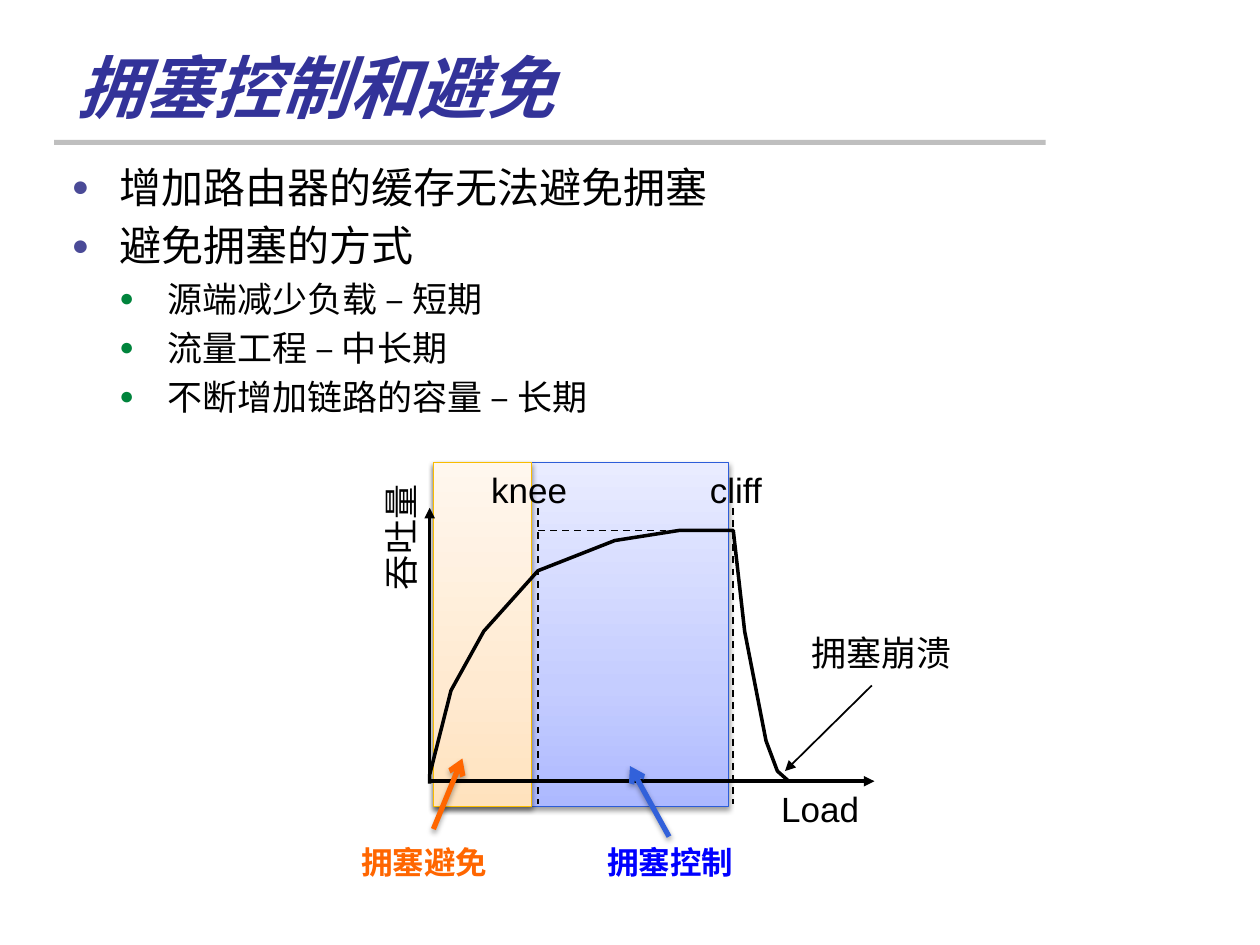
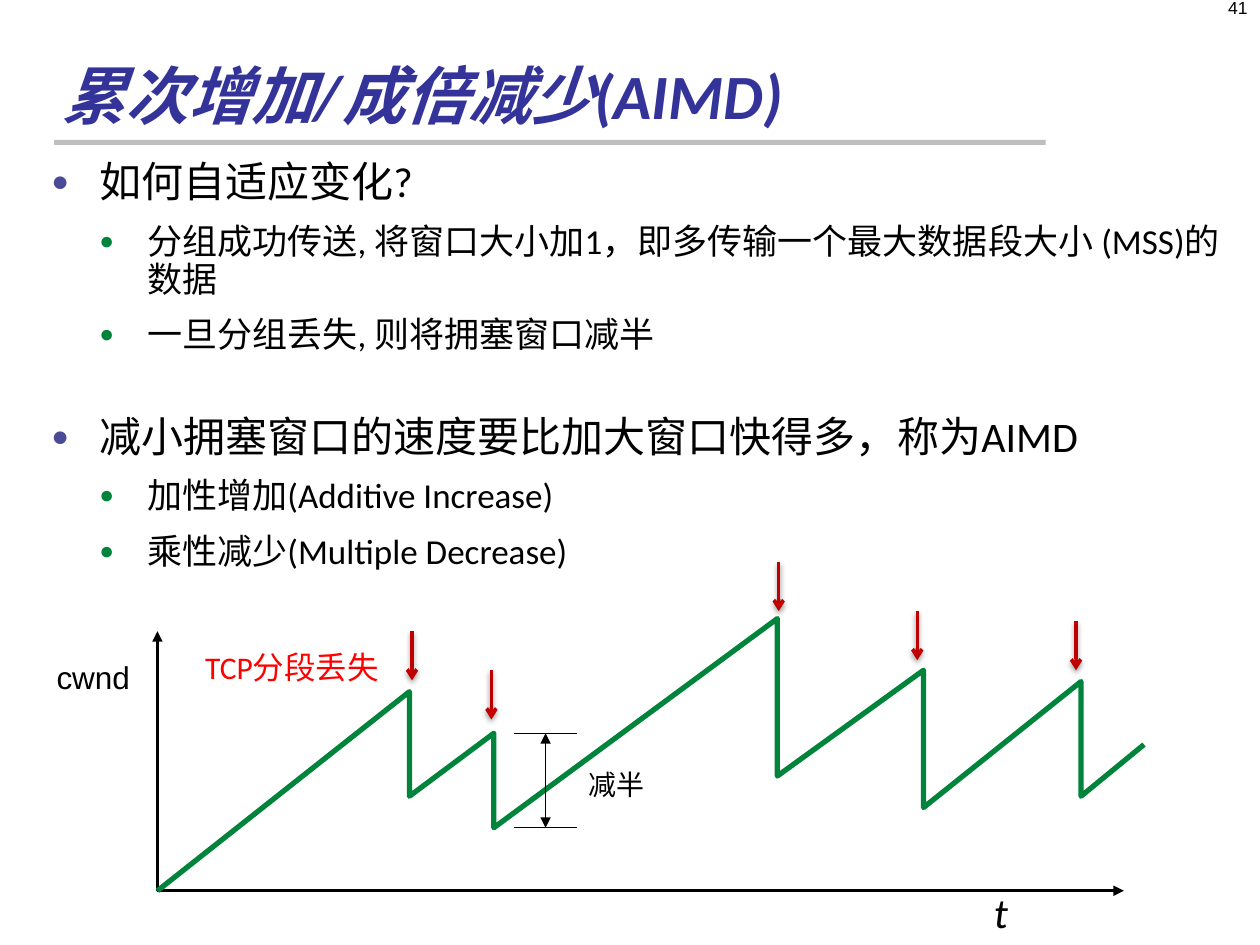
import pptx
import pptx.util
import pptx.oxml
import pptx.oxml.ns
import pptx.dml.color
import pptx.enum.dml
import pptx.enum.shapes
import pptx.enum.text
from lxml import etree

Inches, Pt = pptx.util.Inches, pptx.util.Pt
RGBColor = pptx.dml.color.RGBColor
Align = pptx.enum.text.PP_ALIGN
Anchor = pptx.enum.text.MSO_ANCHOR
AutoSize = pptx.enum.text.MSO_AUTO_SIZE
Shape = pptx.enum.shapes.MSO_SHAPE
qn = pptx.oxml.ns.qn

BLACK = RGBColor(0, 0, 0)
TITLE_BLUE = RGBColor(0x33, 0x33, 0x99)
RULE_GRAY = RGBColor(0xBF, 0xBF, 0xBF)
BULLET_BLUE = RGBColor(0x4A, 0x4A, 0x97)
GREEN = RGBColor(0x00, 0x84, 0x3C)
CONTROL_EDGE = RGBColor(0x2D, 0x5D, 0xD9)
CONTROL_ARROW = RGBColor(0x32, 0x61, 0xDA)
CONTROL_TEXT = RGBColor(0, 0, 0xFF)
AVOID_EDGE = RGBColor(0xF9, 0xBC, 0x00)
ORANGE = RGBColor(0xFF, 0x66, 0x00)
RED = RGBColor(0xFF, 0, 0)
DARK_RED = RGBColor(0xC0, 0, 0)
CONTROL_FILL = [(0, "ADB9FF"), (35, "C5CDFF"), (100, "E9ECFF")]
AVOID_FILL = [(0, "FFE2BD"), (35, "FFEAD1"), (100, "FFF7EE")]


def add(parent, tag, **attributes):
    """Append a DrawingML element with the given attributes."""
    child = etree.SubElement(parent, qn("a:" + tag))
    for key, value in attributes.items():
        child.set(key, str(value))
    return child


def write(paragraph, text, size=18, font="Calibri", color=BLACK, bold=False,
          italic=False, align=Align.LEFT):
    """Put one formatted run into a paragraph."""
    paragraph.alignment = align
    run = paragraph.add_run()
    run.text = text
    run.font.size, run.font.name = Pt(size), font
    run.font.bold, run.font.italic = bold, italic
    run.font.color.rgb = color


class Deck:
    # bullet colour and text size of each outline level
    LEVELS = [(BULLET_BLUE, 24), (GREEN, 20)]

    def __init__(self):
        self.file = pptx.Presentation()
        self.file.slide_width, self.file.slide_height = Inches(10), Inches(7.5)
        self.slide = None

    def new_slide(self, title, box, size):
        """Start a slide with its gray rule and title."""
        self.slide = self.file.slides.add_slide(self.file.slide_layouts[6])
        rule = self.box(0.43, 1.11, 7.87, 0.04)
        rule.fill.solid()
        rule.fill.fore_color.rgb = RULE_GRAY
        rule.line.fill.background()
        self.text(title, *box, wrap=True, anchor=Anchor.BOTTOM, size=size,
                  color=TITLE_BLUE, bold=True, italic=True)

    def box(self, left, top, width, height):
        shape = self.slide.shapes.add_shape(
            Shape.RECTANGLE, *map(Inches, (left, top, width, height)))
        shape.shadow.inherit = False
        return shape

    def text(self, words, left, top, width, height, wrap=False,
             anchor=Anchor.TOP, rotation=0, **style):
        label = self.slide.shapes.add_textbox(
            *map(Inches, (left, top, width, height)))
        label.rotation = rotation
        frame = label.text_frame
        frame.word_wrap, frame.vertical_anchor = wrap, anchor
        frame.auto_size = AutoSize.NONE if wrap else AutoSize.SHAPE_TO_FIT_TEXT
        write(frame.paragraphs[0], words, **style)

    def outline(self, items, left, top, width, height, spacing=None):
        """Bulleted list of (level, text, points after)."""
        body = self.slide.shapes.add_textbox(
            *map(Inches, (left, top, width, height)))
        frame = body.text_frame
        frame.word_wrap = True
        for number, (level, words, after) in enumerate(items):
            paragraph = (frame.add_paragraph() if number
                         else frame.paragraphs[0])
            bullet_color, size = self.LEVELS[level]
            write(paragraph, words, size=size)
            paragraph.level = level
            paragraph.line_spacing = spacing
            paragraph.space_before = Pt(size * 0.2)
            paragraph.space_after = Pt(after)
            props = paragraph._p.get_or_add_pPr()
            props.set("marL", str(Inches(0.38 * (level + 1))))
            props.set("indent", str(Inches(-0.38)))
            add(add(props, "buClr"), "srgbClr", val=bullet_color)
            add(props, "buSzPct", val=70000)
            add(props, "buFont", typeface="Arial")
            add(props, "buChar", char="●")

    def zone(self, left, top, width, height, stops, edge):
        """Rectangle shaded from the bottom up."""
        area = self.box(left, top, width, height)
        area.line.color.rgb, area.line.width = edge, Pt(0.75)
        area.fill.gradient()
        area.fill.gradient_angle = 90
        stop_list = area._element.spPr.find(qn("a:gradFill")).find(qn("a:gsLst"))
        for old in list(stop_list):
            stop_list.remove(old)
        for position, color in stops:
            stop = add(stop_list, "gs", pos=position * 1000)
            add(stop, "srgbClr", val=color)
        self.shadow(area, 38, 1.6)

    def shadow(self, shape, opacity=0, distance=0):
        """Drop shadow below the shape, or none at zero opacity."""
        props = shape._element.spPr
        for old in props.findall(qn("a:effectLst")):
            props.remove(old)
        effects = add(props, "effectLst")
        if opacity:
            drop = add(effects, "outerShdw", blurRad=Pt(3.1),
                       dist=Pt(distance), dir=90 * 60000, rotWithShape=0)
            add(add(drop, "srgbClr", val="000000"), "alpha", val=opacity * 1000)

    def stroke(self, shape, color, width, head, tail, dash=False):
        shape.line.color.rgb, shape.line.width = color, Pt(width)
        if dash:
            shape.line.dash_style = pptx.enum.dml.MSO_LINE.DASH
        for tag, kind in (("headEnd", head), ("tailEnd", tail)):
            if kind:
                add(shape.line._get_or_add_ln(), tag, type=kind)

    def line(self, start, end, color=BLACK, width=1.0, head=None, tail=None,
             dash=False, shadow=(0, 0)):
        connector = self.slide.shapes.add_connector(
            pptx.enum.shapes.MSO_CONNECTOR.STRAIGHT,
            *map(Inches, (*start, *end)))
        self.stroke(connector, color, width, head, tail, dash)
        self.shadow(connector, *shadow)

    def polyline(self, points, color=BLACK, width=2.0, head=None, tail=None):
        corners = [(Inches(x), Inches(y)) for x, y in points]
        builder = self.slide.shapes.build_freeform(*corners[0])
        builder.add_line_segments(corners[1:], close=False)
        path = builder.convert_to_shape()
        path.shadow.inherit = False
        path.fill.background()
        self.stroke(path, color, width, head, tail)


deck = Deck()

# Slide 1: congestion control and avoidance
deck.new_slide("拥塞控制和避免", (0.51, 0.28, 8.25, 0.78), 39)
deck.outline([
    (0, "增加路由器的缓存无法避免拥塞", 0),
    (0, "避免拥塞的方式", 0),
    (1, "源端减少负载 – 短期", 0),
    (1, "流量工程 – 中长期", 0),
    (1, "不断增加链路的容量 – 长期", 0),
], 0.47, 1.23, 9.53, 5.83)

# Control and avoidance zones
deck.zone(3.44, 3.67, 2.34, 2.73, CONTROL_FILL, CONTROL_EDGE)
deck.zone(3.44, 3.67, 0.78, 2.73, AVOID_FILL, AVOID_EDGE)

# Axes and throughput curve
origin = (3.41, 6.2)
knee_x, cliff_x, peak_y = 4.27, 5.82, 4.21
for axis_end in ((3.41, 4.03), (6.94, 6.2)):
    deck.line(origin, axis_end, width=2, tail="triangle")
deck.polyline([(3.41, 6.22), (3.41, 6.15), (3.58, 5.48), (3.84, 5.01),
               (knee_x, 4.53), (4.88, 4.29), (5.39, peak_y),
               (cliff_x, peak_y), (5.91, 5.01), (6.08, 5.88), (6.17, 6.12),
               (6.26, 6.2)])
for x in (cliff_x, knee_x):
    deck.line((x, 4.03), (x, 6.38), dash=True)
deck.line((knee_x, peak_y), (cliff_x, peak_y), dash=True)

# Graph labels, each box a little wider than its word
for words, place, rotation in [
        ("Load", (6.06, 6.2, 0.9, 0.43), 0),
        ("吞吐量", (2.63, 4.05, 1.1, 0.43), 270),
        ("knee", (3.75, 3.67, 0.9, 0.43), 0),
        ("cliff", (5.49, 3.67, 0.7, 0.43), 0),
        ("拥塞崩溃", (6.3, 4.96, 1.4, 0.43), 0)]:
    deck.text(words, *place, rotation=rotation, size=20, font="Arial",
              align=Align.CENTER)
deck.line((6.92, 5.44), (6.23, 6.12), tail="triangle")

# Zone captions with their arrows
for words, left, text_color, start, end, arrow_color in [
        ("拥塞控制", 4.72, CONTROL_TEXT, (5.31, 6.64), (5, 6.08), CONTROL_ARROW),
        ("拥塞避免", 2.77, ORANGE, (3.44, 6.58), (3.67, 6.02), ORANGE)]:
    deck.text(words, left, 6.64, 1.22, 0.4, font="Arial", color=text_color,
              bold=True)
    deck.line(start, end, arrow_color, 3, tail="arrow", shadow=(35, 1.8))

# Slide 2: additive increase, multiplicative decrease
deck.new_slide("累次增加/成倍减少(AIMD)", (0.4, 0.23, 8.04, 0.87), 36)
deck.outline([
    (0, "如何自适应变化?", 6),
    (1, "分组成功传送, 将窗口大小加1，即多传输一个最大数据段大小 (MSS)的数据", 6),
    (1, "一旦分组丢失, 则将拥塞窗口减半", 30),
    (0, "减小拥塞窗口的速度要比加大窗口快得多，称为AIMD", 6),
    (1, "加性增加(Additive Increase)", 6),
    (1, "乘性减少(Multiple Decrease)", 6),
], 0.31, 1.23, 9.5, 5.75, spacing=0.9)
deck.text("41", 7.67, -0.07, 2.33, 0.4, wrap=True, size=10, font="Arial",
          align=Align.RIGHT)

# Axes and sawtooth window
deck.polyline([(1.25, 5.01), (1.25, 7.07), (8.92, 7.07)], width=1.5,
              head="triangle", tail="triangle")
deck.polyline([(1.25, 7.07), (3.25, 5.49), (3.25, 6.32), (3.92, 5.82),
               (3.92, 6.57), (6.17, 4.91), (6.17, 6.16), (7.33, 5.32),
               (7.33, 6.41), (8.58, 5.41), (8.58, 6.32), (9.08, 5.91)],
              GREEN, 3)
deck.text("t", 7.79, 6.99, 0.31, 0.51, size=24, italic=True)

# Halving mark
for y in (6.57, 5.82):
    deck.line((4.08, y), (4.58, y), width=0.75)
deck.line((4.33, 5.82), (4.33, 6.57), width=0.75, head="triangle",
          tail="triangle")
deck.text("减半", 4.57, 6.04, 0.65, 0.37, size=16)

# Labels and segment losses
deck.text("TCP分段丢失", 1.53, 5.09, 1.6, 0.4, wrap=True, color=RED)
deck.text("cwnd", 0.35, 5.17, 0.79, 0.4, font="Arial")
for x, y in [(3.27, 5.01), (3.9, 5.32), (6.18, 4.46), (7.28, 4.85),
             (8.54, 4.93)]:
    deck.line((x, y), (x, y + 0.39), DARK_RED, 2, tail="arrow",
              shadow=(38, 1.6))

deck.file.save("out.pptx")
